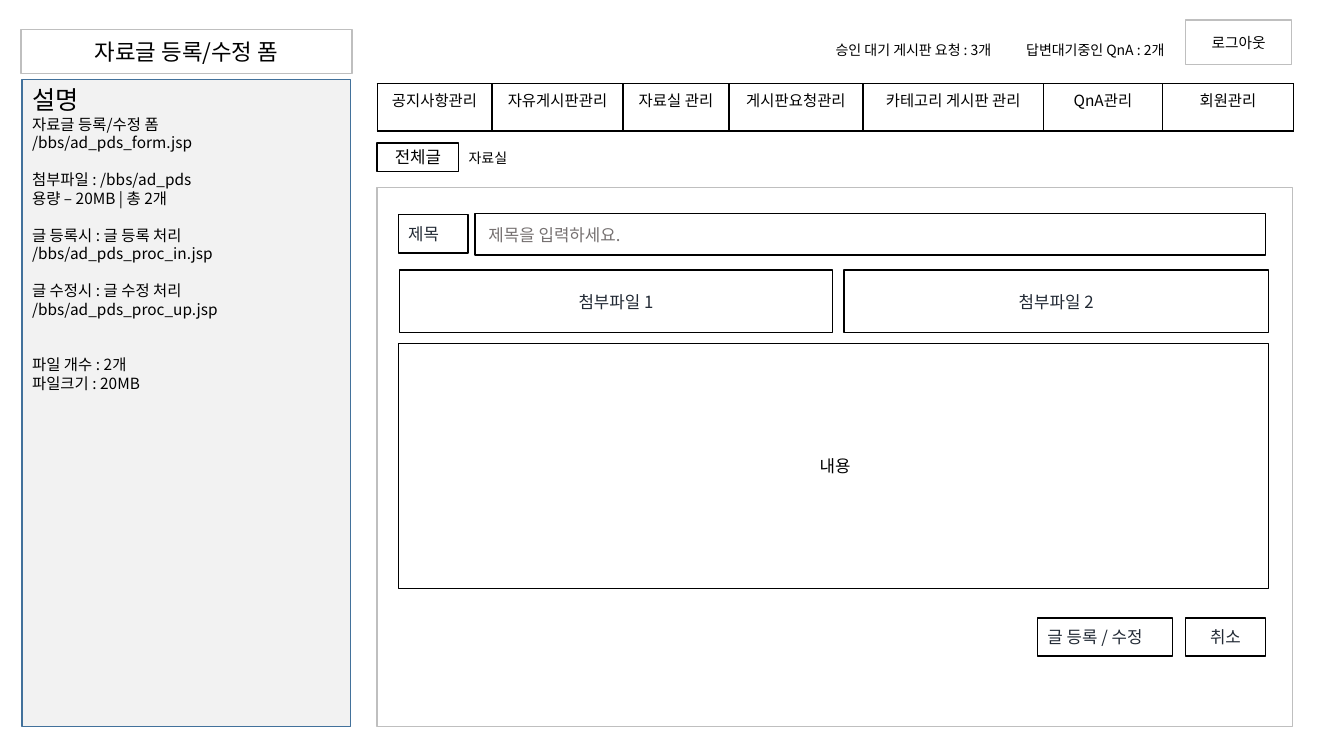
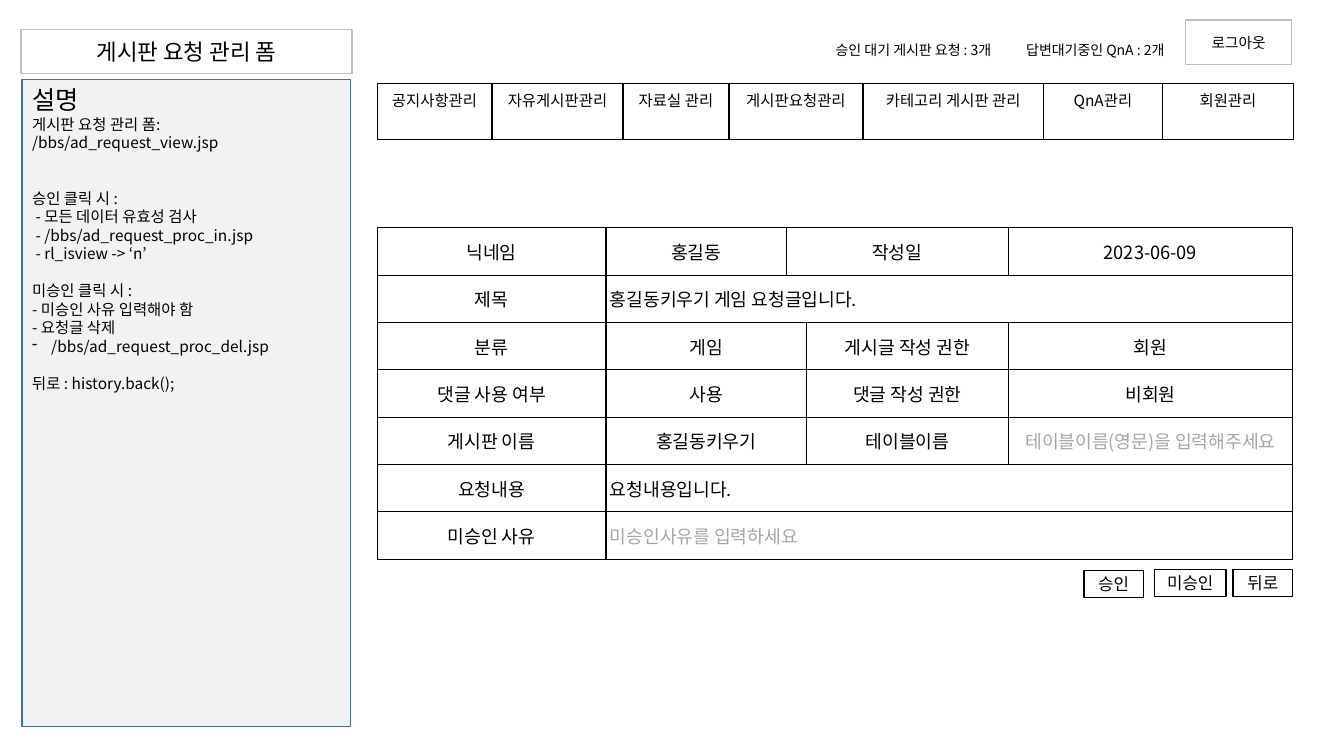
import dataclasses

import lxml.etree
import pptx
import pptx.dml.color
import pptx.enum.shapes
import pptx.enum.text
import pptx.oxml.ns
import pptx.util

UNIT = 9144
FONT = "Noto Sans CJK KR"
BLACK = "000000"
WHITE = "FFFFFF"
GRAY = "BFBFBF"
PALE = "F2F2F2"
BLUE = "42719B"
NAVY = "222A35"
HINT = "767171"
FAINT = "A6A6A6"
LEFT = pptx.enum.text.PP_ALIGN.LEFT
MID = pptx.enum.text.PP_ALIGN.CENTER
TOP = pptx.enum.text.MSO_ANCHOR.TOP
CORE = pptx.enum.text.MSO_ANCHOR.MIDDLE


@dataclasses.dataclass(frozen=True)
class Box:
    x: int
    y: int
    w: int
    h: int
    text: str = ""
    size: float = 12
    ink: str = BLACK
    line: str = BLACK
    fill: str = WHITE
    align: int = MID


@dataclasses.dataclass(frozen=True)
class Label:
    x: int
    y: int
    w: int
    text: str


@dataclasses.dataclass(frozen=True)
class Note:
    text: str
    gap: int = 0
    dash: bool = False


@dataclasses.dataclass(frozen=True)
class Cell:
    text: str
    span: int = 1
    ink: str = BLACK
    align: int = MID


MENU = ("공지사항관리", "자유게시판관리", "자료실 관리", "게시판요청관리",
        "카테고리 게시판 관리", "QnA관리", "회원관리")
MENU_COLS = (114, 130, 105, 133, 179, 118, 130)
STATUS = (Label(1008, 36, 172, "답변대기중인 QnA : 2개"),
          Label(819, 36, 196, "승인 대기 게시판 요청 : 3개"))

POST_NOTES = (
    Note("자료글 등록/수정 폼"),
    Note("/bbs/ad_pds_form.jsp"),
    Note("첨부파일 : /bbs/ad_pds", 1),
    Note("용량 – 20MB | 총 2개"),
    Note("글 등록시 : 글 등록 처리", 1),
    Note("/bbs/ad_pds_proc_in.jsp"),
    Note("글 수정시 : 글 수정 처리", 1),
    Note("/bbs/ad_pds_proc_up.jsp"),
    Note("파일 개수 : 2개", 2),
    Note("파일크기 : 20MB"),
)
POST_FORM = (
    Box(374, 142, 81, 28, "전체글"),
    Box(374, 186, 908, 535, line=GRAY),
    Box(471, 212, 784, 41, " 제목을 입력하세요.", ink=HINT, align=LEFT),
    Box(1176, 613, 79, 38, "취소", ink=NAVY),
    Box(1029, 613, 134, 38, "글 등록 / 수정", ink=NAVY, align=LEFT),
    Box(395, 213, 69, 38, "제목", ink=NAVY, align=LEFT),
    Box(395, 341, 863, 243, " 내용"),
    Box(396, 268, 430, 62, "첨부파일 1", ink=NAVY),
    Box(837, 268, 421, 62, "첨부파일 2", ink=NAVY),
)

ASK_NOTES = (
    Note("게시판 요청 관리 폼:"),
    Note("/bbs/ad_request_view.jsp"),
    Note("승인 클릭 시 :", 2),
    Note(" - 모든 데이터 유효성 검사"),
    Note(" - /bbs/ad_request_proc_in.jsp"),
    Note(" - rl_isview -> ‘n’"),
    Note("미승인 클릭 시 :", 1),
    Note("- 미승인 사유 입력해야 함"),
    Note("- 요청글 삭제"),
    Note("/bbs/ad_request_proc_del.jsp", dash=True),
    Note("뒤로 : history.back();", 1),
)
ASK_COLS = (227, 179, 20, 200, 282)
ASK_ROWS = (
    (Cell("닉네임"), Cell("홍길동"), Cell("작성일", 2), Cell("2023-06-09")),
    (Cell("제목"), Cell("홍길동키우기 게임 요청글입니다.", 4, align=LEFT)),
    (Cell("분류"), Cell("게임", 2), Cell("게시글 작성 권한"), Cell("회원")),
    (Cell("댓글 사용 여부"), Cell("사용", 2), Cell("댓글 작성 권한"), Cell("비회원")),
    (Cell("게시판 이름"), Cell("홍길동키우기", 2), Cell("테이블이름"),
     Cell("테이블이름(영문)을 입력해주세요", ink=FAINT)),
    (Cell("요청내용"), Cell("요청내용입니다.", 4, align=LEFT)),
    (Cell("미승인 사유"), Cell("미승인사유를 입력하세요", 4, FAINT, LEFT)),
)
ASK_KEYS = (
    Box(1223, 565, 59, 27, "뒤로"),
    Box(1145, 565, 71, 27, "미승인"),
    Box(1075, 566, 59, 27, "승인"),
)


def px(num: int) -> int:
    return num * UNIT


def rgb(code: str) -> pptx.dml.color.RGBColor:
    return pptx.dml.color.RGBColor.from_string(code)


def node(root, tag: str, **attrs: str):
    item = lxml.etree.SubElement(root, pptx.oxml.ns.qn(tag))
    for key, value in attrs.items():
        item.set(key, value)
    return item


def style(para, size: float, ink: str = BLACK, align: int = LEFT,
          tight: bool = True) -> None:
    para.alignment = align
    if tight:
        para.line_spacing = pptx.util.Pt(size * 1.2)
    for run in para.runs:
        run.font.size = pptx.util.Pt(size)
        run.font.name = FONT
        run.font.color.rgb = rgb(ink)
        node(run.font._element, "a:ea", typeface=FONT)


def draw_box(slide, box: Box):
    shape = slide.shapes.add_shape(
        pptx.enum.shapes.MSO_SHAPE.RECTANGLE,
        px(box.x), px(box.y), px(box.w), px(box.h))
    shape.shadow.inherit = False
    shape.fill.solid()
    shape.fill.fore_color.rgb = rgb(box.fill)
    shape.line.color.rgb = rgb(box.line)
    shape.line.width = pptx.util.Pt(1)
    if box.text:
        frame = shape.text_frame
        frame.word_wrap = True
        frame.vertical_anchor = CORE
        frame.text = box.text
        style(frame.paragraphs[0], box.size, box.ink, box.align)
    return shape


def draw_label(slide, label: Label) -> None:
    shape = slide.shapes.add_textbox(
        px(label.x), px(label.y), px(label.w), px(27))
    frame = shape.text_frame
    frame.word_wrap = True
    frame.text = label.text
    style(frame.paragraphs[0], 10)


def draw_notes(slide, notes: tuple[Note, ...]) -> None:
    panel = draw_box(slide, Box(22, 79, 326, 642, "설명", 18,
                                line=BLUE, fill=PALE, align=LEFT))
    frame = panel.text_frame
    frame.vertical_anchor = TOP
    for note in notes:
        para = frame.add_paragraph()
        para.text = note.text
        style(para, 11)
        para.space_before = pptx.util.Pt(13.2 * note.gap)
        if note.dash:
            props = para._p.get_or_add_pPr()
            props.set("marL", str(px(19)))
            props.set("indent", str(-px(19)))
            node(props, "a:buChar", char="-")


def edge(cell) -> None:
    props = cell._tc.get_or_add_tcPr()
    for side in ("L", "R", "T", "B"):
        line = node(props, f"a:ln{side}", w="12700")
        node(node(line, "a:solidFill"), "a:srgbClr", val=BLACK)
    cell.fill.solid()
    cell.fill.fore_color.rgb = rgb(WHITE)


def draw_grid(slide, y: int, cols: tuple[int, ...], high: int,
              rows: tuple[tuple[Cell, ...], ...], size: float,
              pad: tuple[int, int], anchor: int) -> None:
    grid = slide.shapes.add_table(
        len(rows), len(cols), px(374), px(y),
        px(sum(cols)), px(high * len(rows))).table
    grid.first_row = False
    grid.horz_banding = False
    for col, wide in zip(grid.columns, cols):
        col.width = px(wide)
    for row in grid.rows:
        row.height = px(high)
        for cell in row.cells:
            edge(cell)
    for i, row in enumerate(rows):
        at = 0
        for item in row:
            cell = grid.cell(i, at)
            if item.span > 1:
                cell.merge(grid.cell(i, at + item.span - 1))
            cell.margin_left = cell.margin_right = px(pad[0])
            cell.margin_top = cell.margin_bottom = px(pad[1])
            cell.vertical_anchor = anchor
            cell.text_frame.text = item.text
            style(cell.text_frame.paragraphs[0], size, item.ink,
                  item.align, False)
            at += item.span


def add_page(deck, title: str, notes: tuple[Note, ...], high: int):
    slide = deck.slides.add_slide(deck.slide_layouts[6])
    draw_box(slide, Box(21, 29, 328, 44, title, 16, line=GRAY))
    draw_notes(slide, notes)
    draw_box(slide, Box(1176, 20, 105, 44, "로그아웃", 10.5, line=GRAY))
    menu = tuple(Cell(name) for name in MENU)
    draw_grid(slide, 83, MENU_COLS, high, (menu,), 11, (10, 5), TOP)
    for label in STATUS:
        draw_label(slide, label)
    return slide


def main() -> None:
    deck = pptx.Presentation()
    deck.slide_width = px(1333)
    deck.slide_height = px(750)

    post = add_page(deck, "자료글 등록/수정 폼", POST_NOTES, 47)
    for box in POST_FORM:
        draw_box(post, box)
    draw_label(post, Label(455, 143, 114, "자료실"))

    ask = add_page(deck, "게시판 요청 관리 폼", ASK_NOTES, 55)
    draw_grid(ask, 226, ASK_COLS, 47, ASK_ROWS, 13, (4, 2), CORE)
    for box in ASK_KEYS:
        draw_box(ask, box)

    deck.save("out.pptx")


if __name__ == "__main__":
    main()
